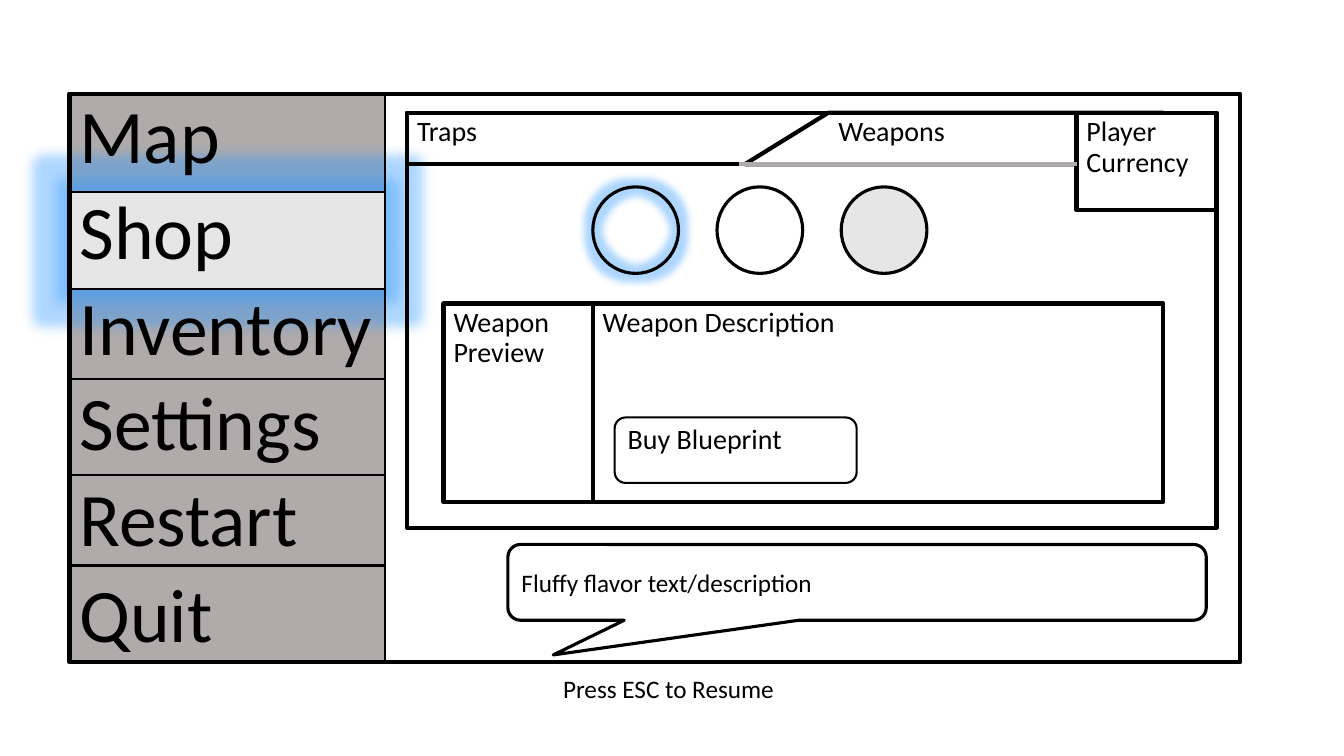
from dataclasses import dataclass

import lxml.etree
import pptx
import pptx.dml.color
import pptx.enum.shapes
import pptx.enum.text
import pptx.oxml.ns
import pptx.util

Cm = pptx.util.Cm
Pt = pptx.util.Pt
Kind = pptx.enum.shapes.MSO_SHAPE
Anchor = pptx.enum.text.MSO_ANCHOR


@dataclass(frozen=True)
class Theme:
    font: str = "Calibri"
    ink: str = "000000"
    paper: str = "FFFFFF"
    grey: str = "AFABAB"
    pale: str = "E7E6E6"
    glow: str = "3399FF"
    glow_alpha: int = 40
    menu_size: float = 54
    label_size: float = 20
    note_size: float = 18
    thick: float = 3
    medium: float = 2.25
    thin: float = 1.5


THEME = Theme()


@dataclass(frozen=True)
class Box:
    """A shape: position and size in cm, line and glow in points."""
    left: float
    top: float
    width: float
    height: float
    kind: Kind = Kind.RECTANGLE
    fill: str | None = None
    line: float | None = THEME.thick
    glow: float | None = None
    texts: tuple[str, ...] = ()
    size: float = THEME.label_size
    spacing: float = 0.9
    anchor: Anchor = Anchor.TOP
    adjustments: tuple[float, ...] = ()


@dataclass(frozen=True)
class Rule:
    """A straight line, in cm."""
    x1: float
    y1: float
    x2: float
    y2: float
    colour: str = THEME.ink
    width: float = THEME.thin


def rgb(colour: str) -> pptx.dml.color.RGBColor:
    return pptx.dml.color.RGBColor.from_string(colour)


def add_effects(shape, glow: float) -> None:
    effects = shape._element.spPr.find(pptx.oxml.ns.qn("a:effectLst"))
    halo = lxml.etree.SubElement(effects, pptx.oxml.ns.qn("a:glow"), rad=str(Pt(glow)))
    colour = lxml.etree.SubElement(halo, pptx.oxml.ns.qn("a:srgbClr"), val=THEME.glow)
    lxml.etree.SubElement(colour, pptx.oxml.ns.qn("a:alpha"), val=str(THEME.glow_alpha * 1000))


def write(frame, texts: tuple[str, ...], size: float, spacing: float) -> None:
    for index, text in enumerate(texts):
        para = frame.add_paragraph() if index else frame.paragraphs[0]
        para.alignment = pptx.enum.text.PP_ALIGN.LEFT
        para.line_spacing = spacing
        para.space_before = Pt(10 if index else 0)
        span = para.add_run()
        span.text = text
        span.font.name = THEME.font
        span.font.size = Pt(size)
        span.font.color.rgb = rgb(THEME.ink)


def draw_box(page, box: Box) -> None:
    shape = page.shapes.add_shape(
        box.kind, Cm(box.left), Cm(box.top), Cm(box.width), Cm(box.height))
    shape.shadow.inherit = False
    for index, value in enumerate(box.adjustments):
        shape.adjustments[index] = value
    if box.fill:
        shape.fill.solid()
        shape.fill.fore_color.rgb = rgb(box.fill)
    else:
        shape.fill.background()
    if box.line:
        shape.line.color.rgb = rgb(THEME.ink)
        shape.line.width = Pt(box.line)
    else:
        shape.line.fill.background()
    if box.glow:
        add_effects(shape, box.glow)
    shape.text_frame.word_wrap = True
    shape.text_frame.vertical_anchor = box.anchor
    write(shape.text_frame, box.texts, box.size, box.spacing)


def draw_rule(page, rule: Rule) -> None:
    line = page.shapes.add_connector(
        pptx.enum.shapes.MSO_CONNECTOR.STRAIGHT,
        Cm(rule.x1), Cm(rule.y1), Cm(rule.x2), Cm(rule.y2))
    line.line.color.rgb = rgb(rule.colour)
    line.line.width = Pt(rule.width)
    lxml.etree.SubElement(line._element.spPr, pptx.oxml.ns.qn("a:effectLst"))


# Shared edges of the layout
LEFT, TOP, BOTTOM = 1.75, 2.36, 16.69
MENU_RIGHT = 9.7
MENU_WIDTH = MENU_RIGHT - LEFT
PANEL_LEFT, PANEL_TOP, TAB_HEIGHT = 10.26, 2.84, 1.3
CARD_TOP, CARD_HEIGHT = 7.65, 5
CURRENCY_LEFT = 27.13

MENU = ("Map", "Shop", "Inventory", "Settings", "Restart", "Quit")
DIVIDERS = (4.83, 7.29, 9.55, 11.96, 14.25)
SLOTS = ((None, 10), (None, None), (THEME.pale, None))

PARTS = [
    # Menu background, with the selected entry glowing
    Box(LEFT, TOP, MENU_WIDTH, 2.46, fill=THEME.grey, line=None),
    Box(LEFT, 4.9, MENU_WIDTH, BOTTOM - 4.9, fill=THEME.grey, line=None),
    Box(LEFT, DIVIDERS[0], MENU_WIDTH, 2.46, fill=THEME.pale, line=None, glow=18),
    Rule(MENU_RIGHT, TOP, MENU_RIGHT, BOTTOM),
    *(Rule(LEFT, y, MENU_RIGHT, y) for y in DIVIDERS),
    # Speech bubble
    Box(12.8, 13.72, 17.6, 1.91, Kind.ROUNDED_RECTANGULAR_CALLOUT, line=THEME.medium,
        texts=("Fluffy flavor text/description",), size=THEME.note_size, spacing=1,
        anchor=Anchor.MIDDLE, adjustments=(-0.435, 0.958, 0.167)),
    # Shop panel and its tabs
    Box(PANEL_LEFT, PANEL_TOP, 20.4, 10.46),
    Box(PANEL_LEFT, PANEL_TOP, 10.64, TAB_HEIGHT, texts=("Traps",)),
    Box(18.77, PANEL_TOP, 10.54, TAB_HEIGHT, Kind.FLOWCHART_DATA, THEME.paper,
        texts=("Weapons",)),
    # Outer frame, holding the menu entries
    Box(LEFT, TOP, 29.51, BOTTOM - TOP, texts=MENU, size=THEME.menu_size),
    Box(CURRENCY_LEFT, PANEL_TOP, 3.53, 2.46, fill=THEME.paper, texts=("Player Currency",)),
    Rule(18.62, PANEL_TOP + TAB_HEIGHT, CURRENCY_LEFT, PANEL_TOP + TAB_HEIGHT,
         THEME.grey, THEME.thick),
    # Weapon slots
    *(Box(14.94 + 3.13 * index, 4.71, 2.16, 2.18, Kind.FLOWCHART_CONNECTOR, fill,
          THEME.medium, glow) for index, (fill, glow) in enumerate(SLOTS)),
    # Weapon card
    Box(14.94, CARD_TOP, 14.38, CARD_HEIGHT, fill=THEME.paper, texts=("Weapon Description",)),
    Box(11.18, CARD_TOP, 3.76, CARD_HEIGHT, fill=THEME.paper, texts=("Weapon Preview",)),
    Box(15.49, 10.52, 6.1, 1.65, Kind.ROUNDED_RECTANGLE, THEME.paper, THEME.thin,
        texts=("Buy Blueprint",)),
]


def main() -> None:
    deck = pptx.Presentation()
    deck.slide_width, deck.slide_height = Cm(33.87), Cm(19.05)
    page = deck.slides.add_slide(deck.slide_layouts[6])
    for part in PARTS:
        if isinstance(part, Box):
            draw_box(page, part)
        else:
            draw_rule(page, part)

    # Hint below the frame
    hint = page.shapes.add_textbox(Cm(13.94), Cm(16.84), Cm(5.99), Cm(1.02)).text_frame
    hint.word_wrap = False
    hint.auto_size = pptx.enum.text.MSO_AUTO_SIZE.SHAPE_TO_FIT_TEXT
    write(hint, ("Press ESC to Resume",), THEME.note_size, 1)

    deck.save("out.pptx")


if __name__ == "__main__":
    main()
